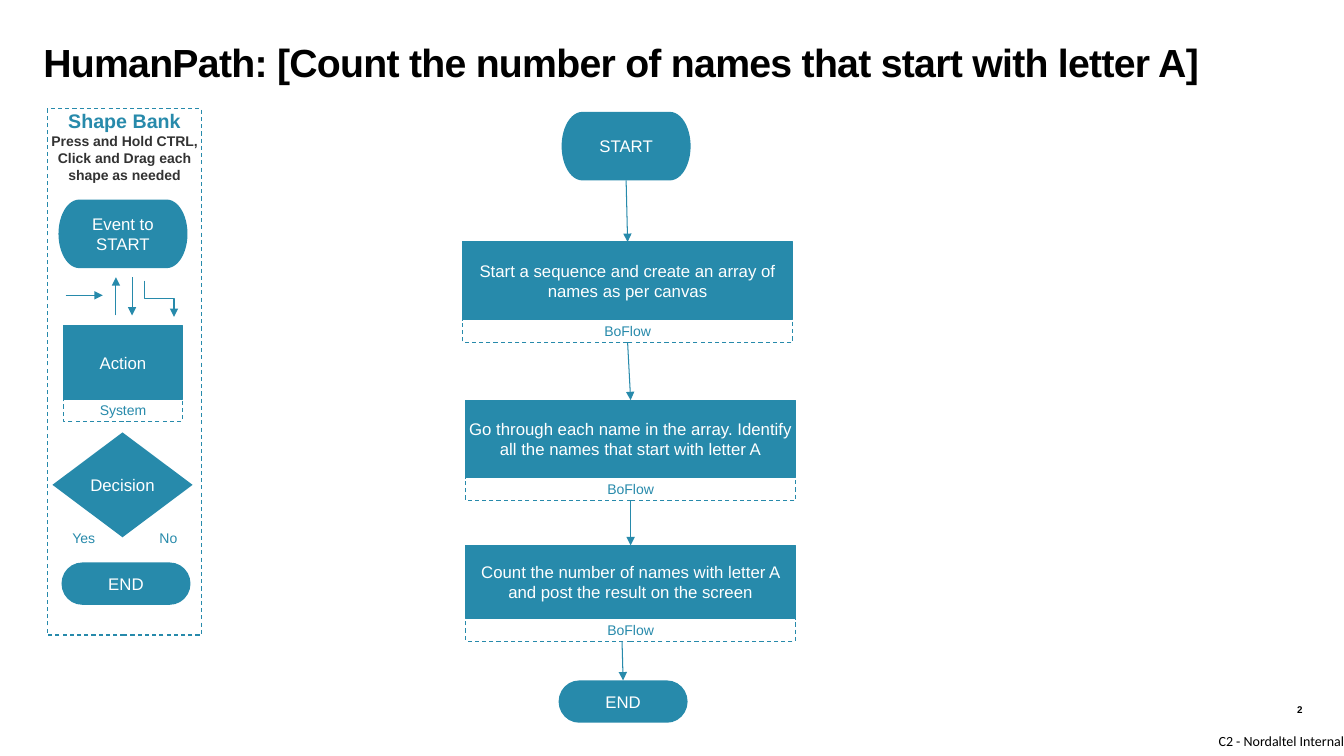
"""Builds the flowchart slide with a shape bank and a five-step flow."""
from lxml import etree
from pptx import Presentation
from pptx.dml.color import RGBColor
from pptx.enum.dml import MSO_LINE
from pptx.enum.shapes import MSO_CONNECTOR, MSO_SHAPE
from pptx.enum.text import MSO_ANCHOR, MSO_AUTO_SIZE, PP_ALIGN
from pptx.oxml.ns import qn
from pptx.util import Inches, Pt

RECT = MSO_SHAPE.RECTANGLE
TERMINATOR = MSO_SHAPE.FLOWCHART_TERMINATOR
DIAMOND = MSO_SHAPE.DIAMOND
STRAIGHT, ELBOW = MSO_CONNECTOR.STRAIGHT, MSO_CONNECTOR.ELBOW
DASH = MSO_LINE.DASH
LEFT, CENTER, RIGHT = PP_ALIGN.LEFT, PP_ALIGN.CENTER, PP_ALIGN.RIGHT
TOP, MIDDLE = MSO_ANCHOR.TOP, MSO_ANCHOR.MIDDLE
TOP_SIDE, BOTTOM_SIDE = 0, 2
COLORS = {"teal": "278AAB", "white": "FFFFFF", "black": "000000", "gray": "333333"}
RGB = {name: RGBColor.from_string(value) for name, value in COLORS.items()}

prs = Presentation()
prs.slide_width, prs.slide_height = Inches(13.33), Inches(7.5)
s = prs.slides.add_slide(prs.slide_layouts[5])


def write(sp, lines, align=CENTER, anchor=MIDDLE, font="Arial"):
    """Fill a shape with (text, size, color, bold) lines."""
    tf = sp.text_frame
    tf.word_wrap = True
    tf.auto_size = MSO_AUTO_SIZE.NONE
    tf.vertical_anchor = anchor
    tf.margin_left = tf.margin_top = tf.margin_right = tf.margin_bottom = 0
    for i, (text, size, color, bold) in enumerate(lines):
        p = tf.add_paragraph() if i else tf.paragraphs[0]
        p.alignment = align
        r = p.add_run()
        r.text = text
        r.font.name, r.font.size, r.font.bold = font, Pt(size), bold
        r.font.color.rgb = RGB[color]


def style(sp, filled=True, dashed=False, outlined=True):
    """Set the fill and outline of a preset shape."""
    sp.shadow.inherit = False
    if filled:
        sp.fill.solid()
        sp.fill.fore_color.rgb = RGB["teal"]
    else:
        sp.fill.background()
    if outlined:
        sp.line.color.rgb = RGB["teal"]
        sp.line.width = Pt(0.75)
        if dashed:
            sp.line.dash_style = DASH
    else:
        sp.line.fill.background()


title = s.shapes.title
title.left, title.top, title.width, title.height = map(Inches, (0.43, 0.45, 12.5, 1))
write(title, [("HumanPath: [Count the number of names that start with letter A]",
               28, "black", True)], LEFT, TOP)
p = title.text_frame.paragraphs[0]
p.line_spacing = 0.85
p.runs[0].font._element.set("spc", "-50")

bank = s.shapes.add_shape(RECT, *map(Inches, (0.47, 1.08, 1.53, 5.22)))
style(bank, filled=False, dashed=True)
write(bank, [("Shape Bank", 14, "teal", True),
             ("Press and Hold CTRL, Click and Drag each shape as needed", 10, "gray", True)],
      anchor=TOP)

nodes = {}
for name, kind, at, text in [
    ("bank start", TERMINATOR, (0.58, 1.98, 1.28, 0.68), "Event to START"),
    ("bank decision", DIAMOND, (0.52, 4.29, 1.39, 1.04), "Decision"),
    ("bank end", TERMINATOR, (0.61, 5.58, 1.28, 0.42), "END"),
    ("start", TERMINATOR, (5.57, 1.11, 1.28, 0.68), "START"),
    ("end", TERMINATOR, (5.54, 6.75, 1.28, 0.42), "END"),
]:
    sp = s.shapes.add_shape(kind, *map(Inches, at))
    style(sp, outlined=False)
    write(sp, [(text, 12, "white", False)])
    nodes[name] = sp

steps = []
for left, top, width, height, system_height, action, system in [
    (0.63, 3.23, 1.18, 0.73, 0.22, "Action", "System"),
    (4.59, 2.4, 3.27, 0.77, 0.23,
     "Start a sequence and create an array of names as per canvas", "BoFlow"),
    (4.62, 3.97, 3.27, 0.77, 0.23,
     "Go through each name in the array. Identify all the names that start with letter A",
     "BoFlow"),
    (4.62, 5.41, 3.27, 0.73, 0.22,
     "Count the number of names with letter A and post the result on the screen", "BoFlow"),
]:
    box = s.shapes.add_shape(RECT, *map(Inches, (left, top, width, height)))
    style(box)
    write(box, [(action, 12, "white", False)])
    tag = s.shapes.add_shape(RECT, *map(Inches, (left, top + height, width, system_height)))
    style(tag, filled=False, dashed=True)
    write(tag, [(system, 10, "teal", False)])
    steps.append((box, tag))

for at, text, size, color, bold, align, font in [
    ((0.53, 5.15, 0.6, 0.37), "Yes", 10, "teal", False, CENTER, "Arial"),
    ((1.37, 5.15, 0.6, 0.37), "No", 10, "teal", False, CENTER, "Arial"),
    ((12.03, 6.97, 0.89, 0.13), "2", 7, "black", True, RIGHT, "Arial"),
    ((11.72, 7.21, 1.61, 0.29), "C2 - Nordaltel Internal", 10, "black", False, RIGHT, "Calibri"),
]:
    write(s.shapes.add_textbox(*map(Inches, at)), [(text, size, color, bold)], align, font=font)

(_, _), (box1, tag1), (box2, tag2), (box3, _) = steps
for kind, ends, source, target in [
    (STRAIGHT, (0.65, 2.93, 1.02, 2.93), None, None),
    (STRAIGHT, (1.15, 3.13, 1.15, 2.75), None, None),
    (STRAIGHT, (1.31, 2.75, 1.31, 3.13), None, None),
    (ELBOW, (1.76, 2.82, 1.4, 3.11), None, None),
    (STRAIGHT, (6.21, 1.79, 6.23, 2.4), nodes["start"], box1),
    (STRAIGHT, (6.23, 3.4, 6.25, 3.97), tag1, box2),
    (STRAIGHT, (6.25, 4.97, 6.25, 5.41), tag2, box3),
    (STRAIGHT, (6.17, 6.37, 6.17, 6.75), None, nodes["end"]),
]:
    arrow = s.shapes.add_connector(kind, *map(Inches, ends))
    if source is not None:
        arrow.begin_connect(source, BOTTOM_SIDE)
    if target is not None:
        arrow.end_connect(target, TOP_SIDE)
    arrow.line.color.rgb = RGB["teal"]
    arrow.line.width = Pt(0.75)
    sp_pr = arrow._element.spPr
    etree.SubElement(sp_pr.find(qn("a:ln")), qn("a:tailEnd"), type="triangle")
    etree.SubElement(sp_pr, qn("a:effectLst"))
    if kind == ELBOW:
        sp_pr.find(qn("a:xfrm")).set("rot", str(270 * 60000))

prs.save("out.pptx")
